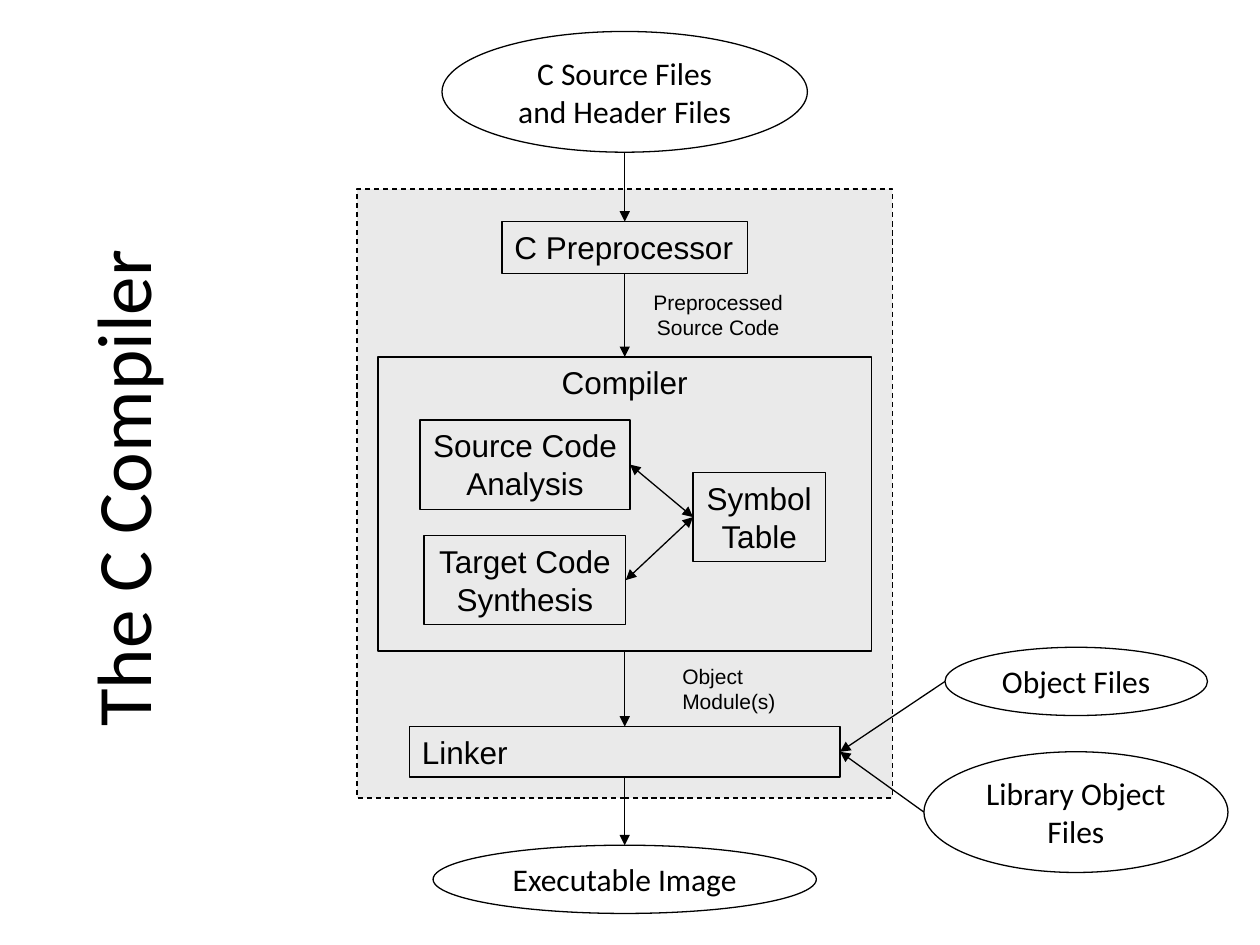
from dataclasses import dataclass

from lxml.etree import SubElement
from pptx import Presentation
from pptx.dml.color import RGBColor
from pptx.enum.dml import MSO_LINE_DASH_STYLE as Dash
from pptx.enum.shapes import MSO_CONNECTOR, MSO_SHAPE as Shape
from pptx.enum.text import MSO_ANCHOR as Anchor, PP_ALIGN as Align
from pptx.oxml.ns import qn
from pptx.util import Inches, Pt

COLORS = {"ink": "000000", "panel": "EAEAEA"}
WIDTH, HEIGHT = 10, 7.5
COLUMNS, ROWS = 120, 90
CELL = Inches(WIDTH) / COLUMNS


@dataclass
class Box:
    """A region measured in grid columns and rows."""
    x: float
    y: float
    w: float
    h: float

    def inside(self, x, y, w, h):
        return Box(self.x + x, self.y + y, w, h)

    def centered(self, y, w, h):
        return self.inside((self.w - w) / 2, y, w, h)

    def emu(self):
        return [round(v * CELL) for v in (self.x, self.y, self.w, self.h)]

    def at(self, side):
        across, down = {"top": (.5, 0), "bottom": (.5, 1),
                        "left": (0, .5), "right": (1, .5)}[side]
        return self.x + across * self.w, self.y + down * self.h


def rgb(name):
    return RGBColor.from_string(COLORS[name])


def write(frame, text, size=18, font="Arial", align=Align.CENTER,
          anchor=Anchor.TOP, wrap=False):
    frame.word_wrap = wrap
    frame.vertical_anchor = anchor
    frame.text = text
    for paragraph in frame.paragraphs:
        paragraph.alignment = align
        paragraph.font.size = Pt(size)
        paragraph.font.name = font
        paragraph.font.color.rgb = rgb("ink")


def outline(line):
    line.color.rgb = rgb("ink")
    line.width = Pt(0.75)


def add_node(shapes, box, text="", kind=Shape.RECTANGLE, fill=None, **style):
    node = shapes.add_shape(kind, *box.emu())
    node.shadow.inherit = False
    if fill:
        node.fill.solid()
        node.fill.fore_color.rgb = rgb(fill)
    else:
        node.fill.background()
    outline(node.line)
    if text:
        write(node.text_frame, text, **style)
    return node


def add_file(shapes, box, text):
    add_node(shapes, box, text, Shape.OVAL, font="Calibri", anchor=Anchor.MIDDLE)


def add_label(shapes, box, text, **style):
    label = shapes.add_textbox(*box.emu())
    write(label.text_frame, text, size=12, **style)


def add_arrow(shapes, start, end, both=False):
    points = [round(v * CELL) for v in (*start, *end)]
    arrow = shapes.add_connector(MSO_CONNECTOR.STRAIGHT, *points)
    outline(arrow.line)
    ends = ("a:headEnd", "a:tailEnd") if both else ("a:tailEnd",)
    for tag in ends:
        SubElement(arrow.line._ln, qn(tag), type="triangle")
    SubElement(arrow._element.spPr, qn("a:effectLst"))


def add_title(slide, box):
    title = slide.shapes.title
    title.left, title.top, title.width, title.height = box.emu()
    title.rotation = 270
    write(title.text_frame, "The C Compiler", size=44, font="Calibri",
          anchor=Anchor.MIDDLE, wrap=True)


def add_compiler(slide, box):
    shapes = slide.shapes.add_group_shape().shapes
    analysis = box.inside(4, 6, 20, 8.5)
    synthesis = box.inside(4.4, 17, 19.2, 8.5)
    symbols = box.inside(30, 11, 12.6, 8.5)
    add_node(shapes, box, "Compiler")
    add_node(shapes, analysis, "Source Code\nAnalysis")
    add_node(shapes, synthesis, "Target Code\nSynthesis")
    add_node(shapes, symbols, "Symbol\nTable")
    for stage in (analysis, synthesis):
        add_arrow(shapes, stage.at("right"), symbols.at("left"), both=True)


def add_toolchain(slide, box):
    """Dashed panel with its stages; returns the boxes of the stages."""
    shapes = slide.shapes
    preprocessor = box.centered(3.1, 23.4, 4.95)
    compiler = box.centered(16, 47, 28)
    linker = box.centered(51.2, 41, 4.8)
    panel = add_node(shapes, box, fill="panel")
    panel.line.dash_style = Dash.DASH
    add_node(shapes, preprocessor, "C Preprocessor", align=Align.LEFT)
    add_compiler(slide, compiler)
    add_node(shapes, linker, "Linker", align=Align.LEFT)
    add_label(shapes, box.inside(27, 9, 14.8, 6), "Preprocessed\nSource Code")
    add_label(shapes, box.inside(29.8, 44.6, 11.4, 6.1), "Object\nModule(s)",
              align=Align.LEFT)
    return preprocessor, compiler, linker


def add_files(slide, box, stages):
    """Input and output files around the panel, and the flow between them."""
    shapes = slide.shapes
    sources = box.centered(-15, 34.8, 11.5)
    executable = box.centered(62.5, 36.5, 6.5)
    objects = box.inside(56, 43.65, 25, 6.5)
    library = box.inside(54, 53.6, 28.95, 11.5)
    add_file(shapes, sources, "C Source Files\nand Header Files")
    add_file(shapes, executable, "Executable Image")
    add_file(shapes, objects, "Object Files")
    add_file(shapes, library, "Library Object\nFiles")

    for linked in (objects, library):
        add_arrow(shapes, linked.at("left"), stages[-1].at("right"))
    flow = [sources, *stages, executable]
    for upper, lower in zip(flow, flow[1:]):
        add_arrow(shapes, upper.at("bottom"), lower.at("top"))


def main():
    deck = Presentation()
    deck.slide_width, deck.slide_height = Inches(WIDTH), Inches(HEIGHT)
    slide = deck.slides.add_slide(deck.slide_layouts[5])
    panel = Box(34, 18, 51, 58)
    add_title(slide, Box(-17, 39, 57, 15))
    stages = add_toolchain(slide, panel)
    add_files(slide, panel, stages)
    deck.save("out.pptx")


if __name__ == "__main__":
    main()
